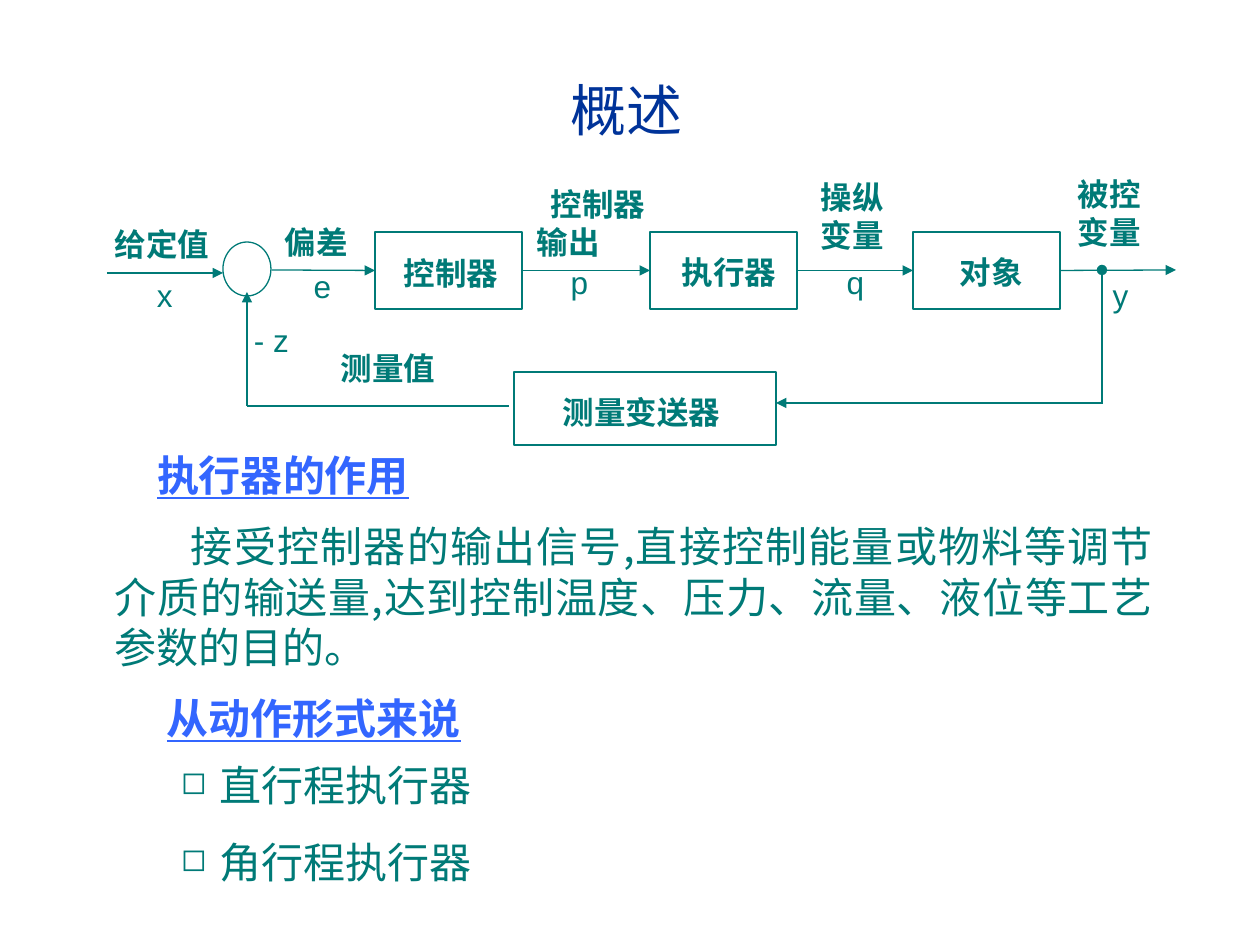
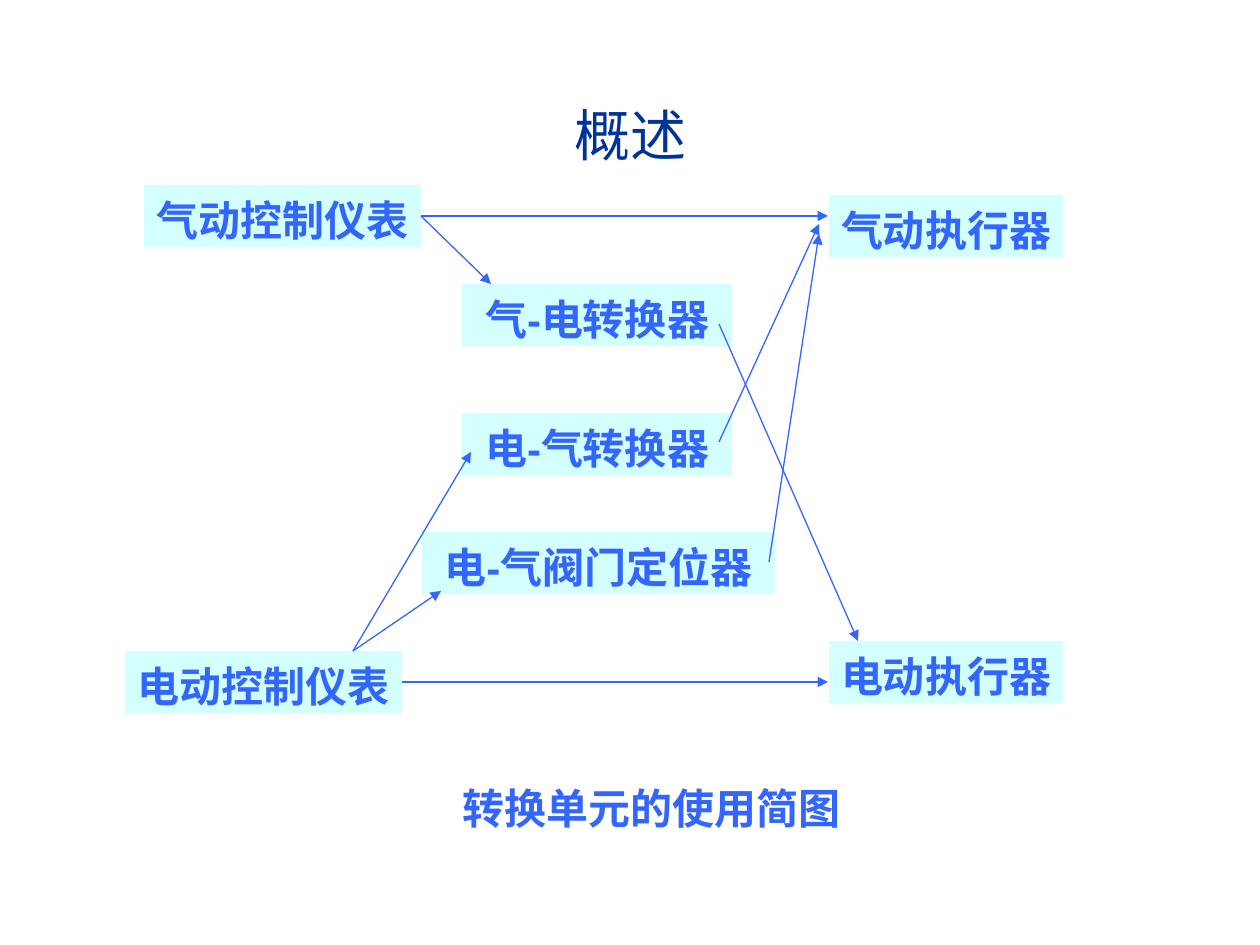
from lxml import etree
from pptx import Presentation
from pptx.dml.color import RGBColor
from pptx.enum.lang import MSO_LANGUAGE_ID
from pptx.enum.shapes import MSO_CONNECTOR, MSO_SHAPE
from pptx.enum.text import MSO_ANCHOR, PP_ALIGN
from pptx.oxml.ns import qn
from pptx.util import Inches, Pt

RECTANGLE, ELLIPSE = MSO_SHAPE.RECTANGLE, MSO_SHAPE.OVAL
STRAIGHT = MSO_CONNECTOR.STRAIGHT
LEFT, CENTER, JUSTIFY = PP_ALIGN.LEFT, PP_ALIGN.CENTER, PP_ALIGN.JUSTIFY
TOP, MIDDLE = MSO_ANCHOR.TOP, MSO_ANCHOR.MIDDLE
CHINESE = MSO_LANGUAGE_ID.SIMPLIFIED_CHINESE

WHITE = RGBColor(0xFF, 0xFF, 0xFF)
NAVY = RGBColor(0x00, 0x33, 0x99)
BLUE = RGBColor(0x33, 0x66, 0xFF)
TEAL = RGBColor(0x00, 0x7A, 0x77)
CYAN = RGBColor(0xCC, 0xFF, 0xFF)

LATIN_FONT, CHINESE_FONT = "Arial", "Noto Sans CJK SC"
PX_PER_INCH = 126
SIDE_LEFT, SIDE_RIGHT = 1, 3

# Text styles: "drop" lowers the line inside its box, in px
TITLE = {"font": {"size": Pt(32)}, "color": NAVY, "drop": 12}
HEADING = {"font": {"size": Pt(24), "bold": True, "underline": True},
           "color": BLUE, "drop": 7}
STRONG = {"font": {"size": Pt(24), "bold": True}, "color": BLUE, "drop": 7}
BODY = {"font": {"size": Pt(24), "name": CHINESE_FONT}, "color": TEAL, "drop": 7}
BULLET = {"font": {"size": Pt(24)}, "color": TEAL, "drop": 7}
LABEL = {"font": {"size": Pt(18), "bold": True}, "color": TEAL, "drop": 4}
SYMBOL = {"font": {"size": Pt(18)}, "color": TEAL, "drop": 0}


def px(length):
    return round(length * Inches(1) / PX_PER_INCH)


def add_xml(parent, tag, **attributes):
    return etree.SubElement(parent, qn(tag), attributes)


class Deck:
    def __init__(self):
        self.file = Presentation()
        self.file.slide_width = px(1260)
        self.file.slide_height = px(945)
        self.page = None

    def new_page(self):
        self.page = self.file.slides.add_slide(self.file.slide_layouts[6])

    def set_text(self, box, lines, style, align=LEFT, anchor=TOP, wrap=True,
                 margin=0, indent=0, bullet=None, gap=0):
        frame = box.text_frame
        settings = {"word_wrap": wrap, "vertical_anchor": anchor,
                    "margin_left": px(13), "margin_right": px(13),
                    "margin_top": px(6 + style["drop"]), "margin_bottom": px(6)}
        for name, value in settings.items():
            setattr(frame, name, value)
        for number, line in enumerate(lines):
            para = frame.add_paragraph() if number else frame.paragraphs[0]
            para.alignment = align
            para.line_spacing = Pt(round(style["font"]["size"].pt * 1.2, 1))
            if number and gap:
                para.space_before = Pt(gap)
            properties = para._p.get_or_add_pPr()
            properties.set("marL", str(px(margin)))
            properties.set("indent", str(px(indent)))
            if bullet:
                add_xml(properties, "a:buSzPct", val="75000")
                add_xml(properties, "a:buChar", char=bullet)
            span = para.add_run()
            span.text = line
            font = {"name": LATIN_FONT, "language_id": CHINESE, **style["font"]}
            for name, value in font.items():
                setattr(span.font, name, value)
            span.font.color.rgb = style["color"]
            add_xml(span._r.get_or_add_rPr(), "a:ea", typeface=CHINESE_FONT)

    def text(self, left, top, width, height, lines, style, **layout):
        box = self.page.shapes.add_textbox(px(left), px(top), px(width), px(height))
        self.set_text(box, lines, style, **layout)

    def title(self, left, top, width, height):
        self.text(left, top, width, height, ["概述"], TITLE,
                  align=CENTER, anchor=MIDDLE)

    def shape(self, kind, left, top, width, height, fill=WHITE, outline=TEAL):
        box = self.page.shapes.add_shape(kind, px(left), px(top), px(width), px(height))
        box.shadow.inherit = False
        box.fill.solid()
        box.fill.fore_color.rgb = fill
        if outline is None:
            box.line.fill.background()
        else:
            box.line.color.rgb = outline
            box.line.width = Pt(0.75)
        return box

    def panel(self, left, top, width, words):
        box = self.shape(RECTANGLE, left, top, width, 62, CYAN, None)
        color = box._element.spPr.find(qn("a:solidFill"))[0]
        add_xml(color, "a:alpha", val="85000")
        self.set_text(box, [words], STRONG, align=CENTER, anchor=MIDDLE, wrap=False)
        return box

    def line(self, start, end, color=TEAL, head=None, tail="triangle",
             begin=None, finish=None):
        link = self.page.shapes.add_connector(STRAIGHT, *map(px, start + end))
        if begin:
            link.begin_connect(*begin)
        if finish:
            link.end_connect(*finish)
        link.line.color.rgb = color
        link.line.width = Pt(0.75)
        properties = link._element.spPr
        stroke = properties.find(qn("a:ln"))
        for tag, arrow in (("a:headEnd", head), ("a:tailEnd", tail)):
            if arrow:
                add_xml(stroke, tag, type=arrow)
        add_xml(properties, "a:effectLst")


def build_control_loop(deck):
    deck.new_page()
    deck.title(168, 48, 917, 110)

    # Blocks of the loop
    deck.shape(ELLIPSE, 223, 242, 48, 54)
    controller, actuator, plant = [
        deck.shape(RECTANGLE, left, 232, 147, 77) for left in (375, 650, 913)]
    deck.shape(RECTANGLE, 514, 372, 262, 73)

    # Forward path
    deck.line((107, 273), (223, 273))
    deck.line((272, 270), (375, 270), finish=(controller, SIDE_LEFT))
    for source, target in ((controller, actuator), (actuator, plant)):
        deck.line((0, 0), (0, 0), begin=(source, SIDE_RIGHT),
                  finish=(target, SIDE_LEFT))
    deck.line((1060, 270), (1176, 270), begin=(plant, SIDE_RIGHT))

    # Feedback path
    deck.line((1102, 270), (1102, 404), head="oval", tail=None)
    deck.line((1102, 403), (776, 403))
    deck.line((509, 406), (247, 406), tail=None)
    deck.line((247, 406), (247, 292))

    # Names of blocks and signals
    labels = [
        (102, 215, 168, ["给定值"]), (272, 213, 168, ["偏差"]),
        (391, 244, 189, ["控制器"]), (669, 243, 189, ["执行器"]),
        (947, 243, 189, ["对象"]), (808, 168, 95, ["操纵", "变量"]),
        (1065, 165, 95, ["被控", "变量"]), (550, 383, 262, ["测量变送器"]),
        (328, 339, 168, ["测量值"]),
    ]
    for left, top, width, lines in labels:
        deck.text(left, top, width, 12 + 38 * len(lines), lines, LABEL)
    deck.text(524, 175, 140, 88, ["控制器输出"], LABEL, indent=14)

    symbols = [
        (144, 270, "x", LEFT), (241, 315, "- z", LEFT), (286, 261, "e", CENTER),
        (819, 257, "q", CENTER), (543, 257, "p", CENTER), (1084, 270, "y", CENTER),
    ]
    for left, top, letter, align in symbols:
        deck.text(left, top, 73, 50, [letter], SYMBOL, align=align)

    # Explanation
    deck.text(144, 437, 307, 63, ["执行器的作用"], HEADING, align=JUSTIFY)
    deck.text(102, 508, 1064, 164,
              ["接受控制器的输出信号,直接控制能量或物料等调节介质的输送量,"
               "达到控制温度、压力、流量、液位等工艺参数的目的。"],
              BODY, align=JUSTIFY, indent=76)
    deck.text(154, 680, 340, 63, ["从动作形式来说"], HEADING, align=JUSTIFY)
    deck.text(168, 747, 340, 140, ["直行程执行器", "角行程执行器"], BULLET,
              align=JUSTIFY, margin=39, indent=-39, bullet="◻", gap=15)


def build_conversion_units(deck):
    deck.new_page()
    deck.title(42, 49, 1177, 158)

    # Instruments, converters and actuators
    deck.panel(462, 284, 270, "气-电转换器")
    deck.panel(462, 413, 270, "电-气转换器")
    deck.panel(422, 532, 353, "电-气阀门定位器")
    deck.panel(829, 195, 234, "气动执行器")
    deck.panel(829, 641, 234, "电动执行器")
    pneumatic = deck.panel(144, 185, 277, "气动控制仪表")
    electric = deck.panel(125, 651, 277, "电动控制仪表")

    # Signal routes
    routes = [
        ((421, 216), (828, 216), (pneumatic, SIDE_RIGHT)),
        ((421, 216), (491, 284), (pneumatic, SIDE_RIGHT)),
        ((402, 682), (828, 682), (electric, SIDE_RIGHT)),
        ((353, 651), (441, 591), None),
        ((353, 651), (471, 452), None),
        ((719, 442), (819, 224), None),
        ((769, 562), (819, 234), None),
        ((719, 324), (858, 641), None),
    ]
    for start, end, begin in routes:
        deck.line(start, end, BLUE, begin=begin)

    # Caption
    deck.text(450, 770, 420, 63, ["转换单元的使用简图"], STRONG, align=JUSTIFY)


def main():
    deck = Deck()
    build_control_loop(deck)
    build_conversion_units(deck)
    deck.file.save("out.pptx")


if __name__ == "__main__":
    main()
